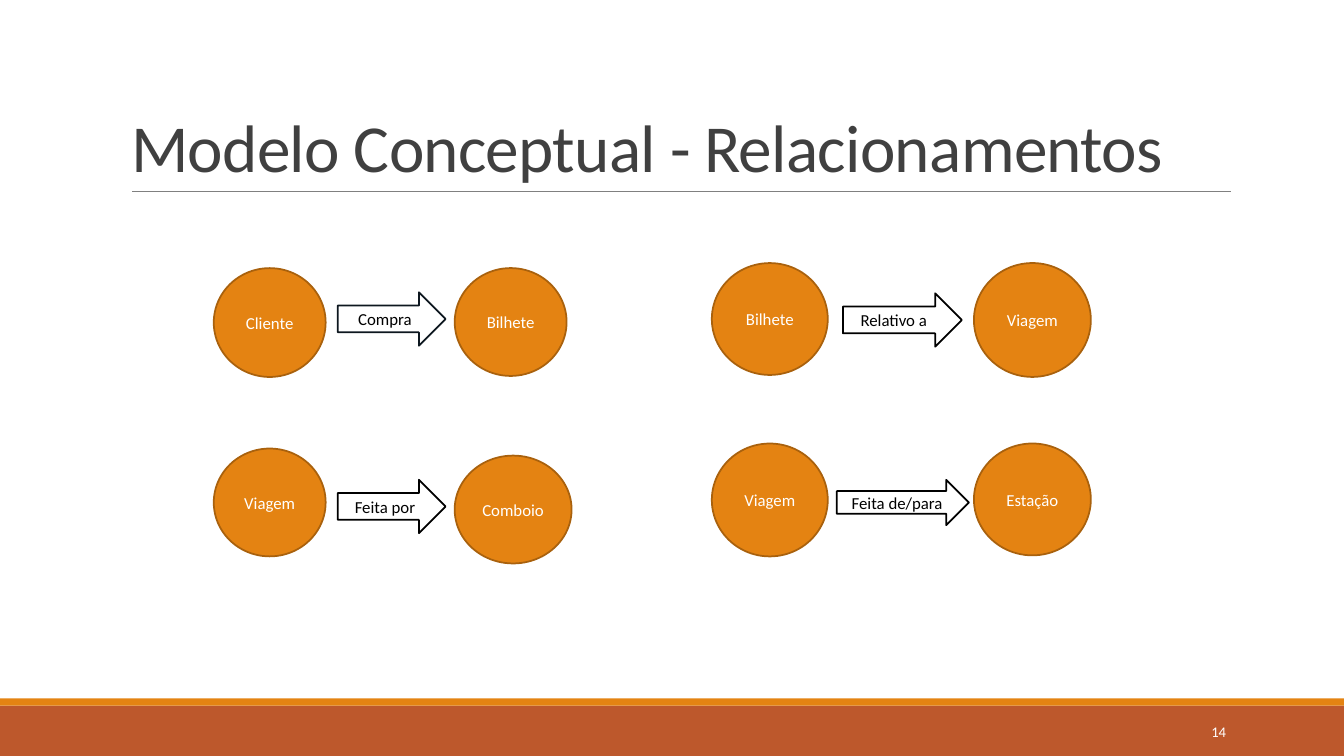
from pptx import Presentation
from pptx.dml.color import RGBColor
from pptx.enum.shapes import MSO_CONNECTOR, MSO_SHAPE
from pptx.enum.text import MSO_ANCHOR, MSO_AUTO_SIZE, PP_ALIGN
from pptx.oxml.ns import qn
from pptx.util import Pt
from lxml import etree

PX = 9144  # EMU per px, 100 px to the inch
FONT = "Calibri"
ORANGE, RUST, BROWN = "E48312", "BD582C", "A9610D"
WHITE, BLACK, NAVY, GREY, DARK = "FFFFFF", "000000", "0D171F", "808080", "404040"

# Each relationship: (entity, box), (verb, box, fill, line), (entity, box)
RELATIONSHIPS = [
    (("Cliente", (212, 266, 111, 108)),
     ("Compra", (335, 290, 107, 53), WHITE, NAVY),
     ("Bilhete", (451, 266, 111, 107))),
    (("Viagem", (212, 445, 111, 107)),
     ("Feita por", (335, 476, 107, 53), None, BLACK),
     ("Comboio", (451, 452, 116, 107))),
    (("Bilhete", (706, 261, 115, 111)),
     ("Relativo a ", (836, 291, 118, 53), WHITE, BLACK),
     ("Viagem", (966, 261, 116, 113))),
    (("Viagem", (706, 440, 115, 112)),
     ("Feita de/para", (830, 476, 131, 45), WHITE, BLACK),
     ("Estação", (966, 440, 116, 111))),
]


def color(value):
    return RGBColor.from_string(value)


def emu(box):
    return [length * PX for length in box]


def write(shape, text, size, ink, align, anchor):
    frame = shape.text_frame
    settings = {"word_wrap": True, "auto_size": MSO_AUTO_SIZE.NONE,
                "vertical_anchor": anchor}
    for name, value in settings.items():
        setattr(frame, name, value)
    para = frame.paragraphs[0]
    para.alignment = align
    span = para.add_run()
    span.text = text
    for name, value in {"name": FONT, "size": Pt(size)}.items():
        setattr(span.font, name, value)
    span.font.color.rgb = color(ink)
    return para, span


def add_figure(page, kind, box, fill=None, line=None):
    """Add a preset shape; a missing fill or line is left out."""
    shape = page.shapes.add_shape(kind, *emu(box))
    shape.shadow.inherit = False
    if fill:
        shape.fill.solid()
        shape.fill.fore_color.rgb = color(fill)
    else:
        shape.fill.background()
    if line:
        shape.line.color.rgb = color(line)
        shape.line.width = Pt(1.25)
    else:
        shape.line.fill.background()
    return shape


def add_label(shape, text, ink):
    frame = shape.text_frame
    frame.margin_left = frame.margin_right = 0
    write(shape, text, 12, ink, PP_ALIGN.CENTER, MSO_ANCHOR.MIDDLE)


def add_entity(page, text, box):
    add_label(add_figure(page, MSO_SHAPE.OVAL, box, ORANGE, BROWN), text, WHITE)


def add_verb(page, text, box, fill, line):
    add_label(add_figure(page, MSO_SHAPE.RIGHT_ARROW, box, fill, line), text, BLACK)


def add_rule(page, left, right, top):
    rule = page.shapes.add_connector(
        MSO_CONNECTOR.STRAIGHT, *emu((left, top, right, top)))
    rule.line.color.rgb = color(GREY)
    rule.line.width = Pt(0.5)
    etree.SubElement(rule._element.spPr, qn("a:effectLst"))


def add_title(page, text, box):
    title = page.shapes.title
    for name, value in zip(("left", "top", "width", "height"), emu(box)):
        setattr(title, name, value)
    para, span = write(title, text, 48, DARK, PP_ALIGN.LEFT, MSO_ANCHOR.BOTTOM)
    para.line_spacing = 0.85
    span.font._element.set("spc", "-50")


def add_page_number(page, text, box):
    number = page.shapes.add_textbox(*emu(box))
    write(number, text, 10.5, WHITE, PP_ALIGN.RIGHT, MSO_ANCHOR.MIDDLE)


def main():
    deck = Presentation()
    deck.slide_width, deck.slide_height = emu((1333, 750))
    page = deck.slides.add_slide(deck.slide_layouts[5])

    add_figure(page, MSO_SHAPE.RECTANGLE, (0, 700, 1333, 50), RUST)
    add_figure(page, MSO_SHAPE.RECTANGLE, (0, 693, 1333, 7), ORANGE)
    add_rule(page, 131, 1221, 190)
    add_title(page, "Modelo Conceptual - Relacionamentos", (120, 31, 1100, 159))
    add_page_number(page, "14", (1083, 706, 143, 40))

    for source, verb, target in RELATIONSHIPS:
        add_entity(page, *source)
        add_entity(page, *target)
        add_verb(page, *verb)

    deck.save("out.pptx")


if __name__ == "__main__":
    main()
